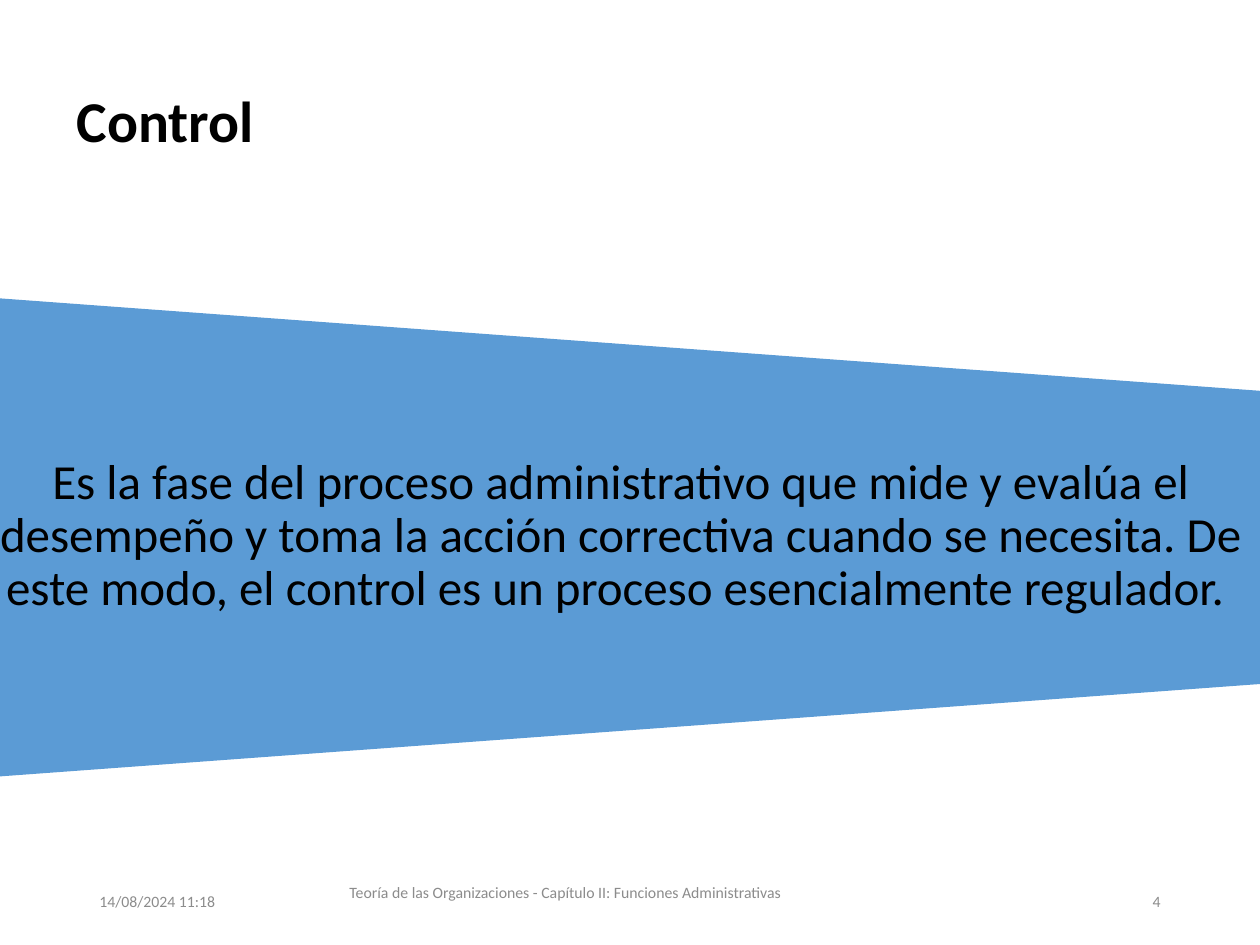
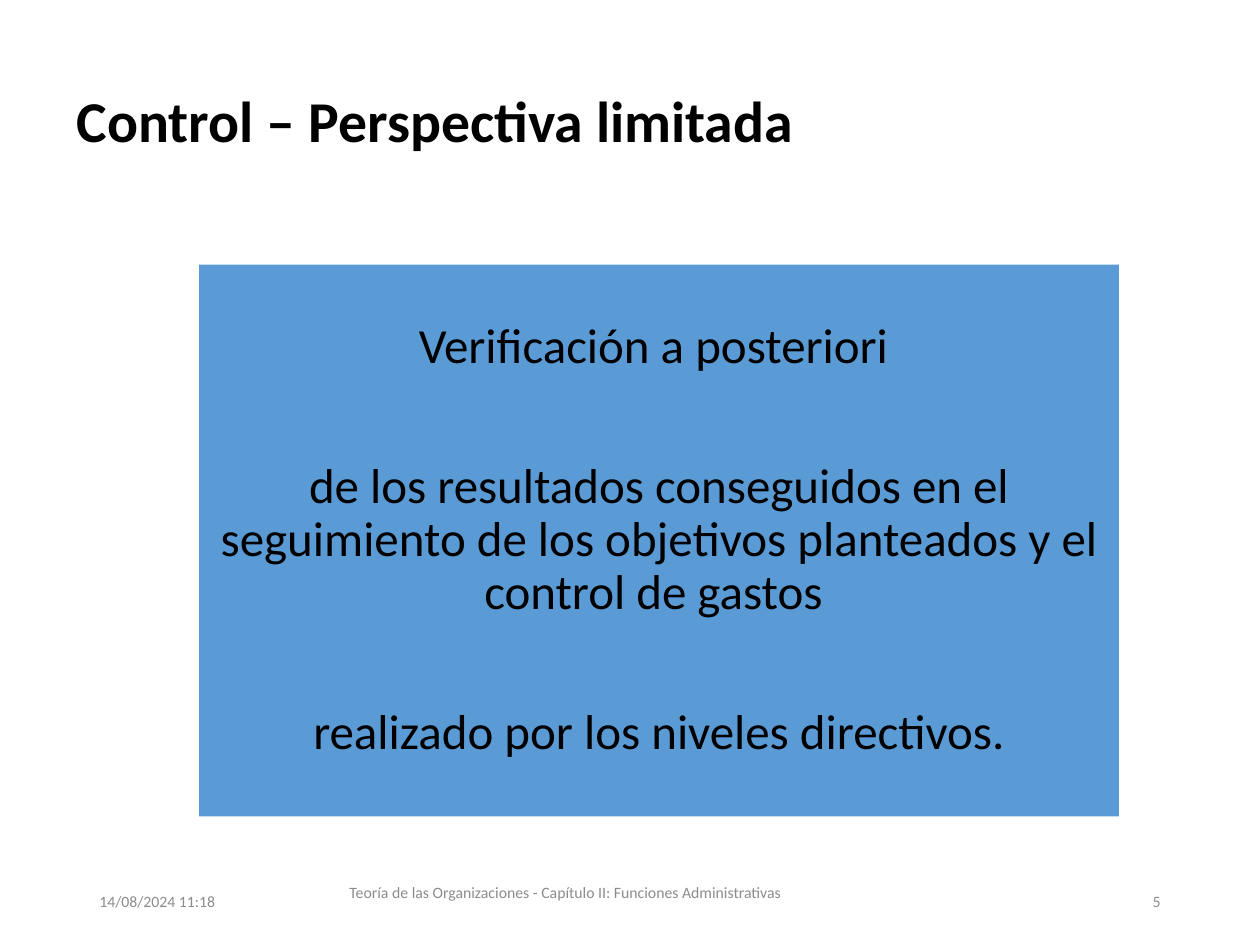
from pptx import Presentation
from pptx.dml.color import RGBColor
from pptx.enum.shapes import MSO_SHAPE
from pptx.enum.text import MSO_ANCHOR, MSO_AUTO_SIZE, PP_ALIGN
from pptx.util import Inches, Pt

LEFT, MID, RIGHT = PP_ALIGN.LEFT, PP_ALIGN.CENTER, PP_ALIGN.RIGHT
CENTRE, FIXED = MSO_ANCHOR.MIDDLE, MSO_AUTO_SIZE.NONE
RECT, FUNNEL = MSO_SHAPE.RECTANGLE, MSO_SHAPE.FLOWCHART_MANUAL_OPERATION

FONT = "Calibri"
COLORS = {"ink": "000000", "blue": "5B9BD5", "gray": "8C8C8C"}
DATE = "14/08/2024 11:18"
COURSE = "Teoría de las Organizaciones - Capítulo II: Funciones Administrativas"


class Deck:
    """Holds the shared style and the current slide."""

    def __init__(self):
        self.prs = Presentation()
        self.prs.slide_width, self.prs.slide_height = Inches(10), Inches(7.5)
        self.slide = None

    def label(self, shape, lines, size, color="ink", align=LEFT, bold=False,
              pitch=None, gap=0, pad=(0.1, 0.05)):
        frame = shape.text_frame
        frame.text = "\n".join(lines)
        frame.word_wrap = True
        frame.auto_size = FIXED
        frame.vertical_anchor = CENTRE
        frame.margin_left = frame.margin_right = Inches(pad[0])
        frame.margin_top = frame.margin_bottom = Inches(pad[1])
        for num, para in enumerate(frame.paragraphs):
            para.alignment = align
            para.line_spacing = pitch
            para.space_before = Pt(gap if num else 0)
            for run in para.runs:
                run.font.name = FONT
                run.font.size = Pt(size)
                run.font.bold = bold
                run.font.color.rgb = RGBColor.from_string(COLORS[color])

    def page(self, title, num):
        self.slide = self.prs.slides.add_slide(self.prs.slide_layouts[5])
        head = self.slide.shapes.title
        head.left, head.top = Inches(0.51), Inches(0.36)
        head.width, head.height = Inches(9), Inches(1.25)
        self.label(head, [title], 33, bold=True, pitch=0.9)
        self.foot(num)

    def foot(self, num):
        for text, box, align in (
            (DATE, (0.69, 6.95, 2.25, 0.4), LEFT),
            (COURSE, (1.87, 6.83, 5.23, 0.5), MID),
            (str(num), (7.06, 6.95, 2.25, 0.4), RIGHT),
        ):
            self.label(self.box(box), [text], 9, "gray", align)

    def box(self, box):
        return self.slide.shapes.add_textbox(*map(Inches, box))

    def shape(self, kind, box, turn=0):
        shape = self.slide.shapes.add_shape(kind, *map(Inches, box))
        shape.rotation = turn
        shape.shadow.inherit = False
        shape.fill.solid()
        shape.fill.fore_color.rgb = RGBColor.from_string(COLORS["blue"])
        shape.line.fill.background()
        return shape

    def body(self, shape, lines, pad):
        self.label(shape, lines, 28, align=MID, pitch=0.9, gap=50, pad=pad)


def main():
    deck = Deck()

    deck.page("Control", 4)
    deck.shape(FUNNEL, (3, -0.97, 3.84, 10.47), 270)
    deck.body(deck.box((-0.31, 3.11, 10.47, 2.3)), [
        "Es la fase del proceso administrativo que mide y evalúa el desempeño "
        "y toma la acción correctiva cuando se necesita. De este modo, el "
        "control es un proceso esencialmente regulador. ",
    ], (0.19, 0))

    deck.page("Control – Perspectiva limitada", 5)
    deck.body(deck.shape(RECT, (1.58, 2.1, 7.3, 4.38)), [
        "Verificación a posteriori ",
        "de los resultados conseguidos en el seguimiento de los objetivos "
        "planteados y el control de gastos ",
        "realizado por los niveles directivos.",
    ], (0.12, 0.12))

    deck.prs.save("out.pptx")


if __name__ == "__main__":
    main()
